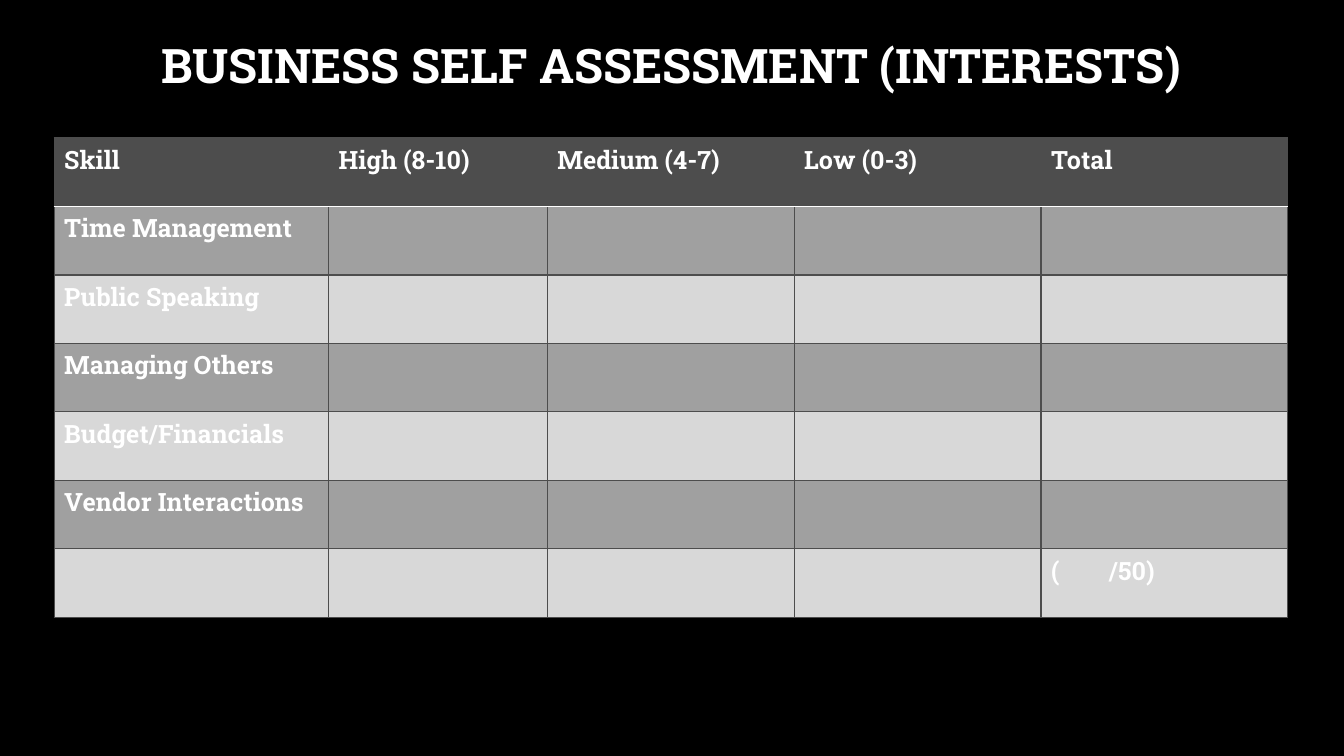
from dataclasses import dataclass

import lxml.etree
import pptx
import pptx.dml.color
import pptx.enum.text
import pptx.oxml.ns
import pptx.util

COLORS = {
    "background": "000000",
    "text": "FFFFFF",
    "header": "4D4D4D",
    "dark_band": "A0A0A0",
    "light_band": "D8D8D8",
    "grid": "4D4D4D",
    "header_rule": "FFFFFF",
}
FONT = "Roboto Slab"
TABLE_LEFT, TABLE_TOP = 38.7, 98.6
COLUMN_WIDTHS = [196, 156.3, 176.3, 176.3, 176.3]
ROW_HEIGHT = 48.9
SCORE_TAB = 41.4


@dataclass
class Row:
    texts: list[str]
    fill: str


@dataclass
class Border:
    color: str = "grid"
    width: float = 1


HEADER = Row(["Skill", "High (8-10)", "Medium (4-7)", "Low (0-3)", "Total"], "header")
SKILLS = ["Time Management", "Public Speaking", "Managing Others",
          "Budget/Financials", "Vendor Interactions"]
BODY = [[skill, "", "", "", ""] for skill in SKILLS] + [["", "", "", "", "(\t/50)"]]
ROWS = [HEADER] + [
    Row(texts, "light_band" if index % 2 else "dark_band")
    for index, texts in enumerate(BODY)
]


def rgb(name: str) -> pptx.dml.color.RGBColor:
    return pptx.dml.color.RGBColor.from_string(COLORS[name])


def format_runs(paragraph, size: float) -> None:
    for run in paragraph.runs:
        run.font.name = FONT
        run.font.size = pptx.util.Pt(size)
        run.font.bold = True
        run.font.color.rgb = rgb("text")


def set_borders(cell, borders: dict[str, Border]) -> None:
    """Border lines must precede the fill in the cell properties."""
    qn = pptx.oxml.ns.qn
    properties = cell._tc.get_or_add_tcPr()
    for index, side in enumerate("LRTB"):
        border = borders.get(side, Border())
        line = lxml.etree.Element(qn(f"a:ln{side}"), w=str(pptx.util.Pt(border.width)))
        fill = lxml.etree.SubElement(line, qn("a:solidFill"))
        lxml.etree.SubElement(fill, qn("a:srgbClr"), val=COLORS[border.color])
        properties.insert(index, line)


def add_tab_stop(paragraph, position: float) -> None:
    qn = pptx.oxml.ns.qn
    tabs = lxml.etree.SubElement(paragraph._p.get_or_add_pPr(), qn("a:tabLst"))
    lxml.etree.SubElement(tabs, qn("a:tab"), pos=str(pptx.util.Pt(position)), algn="l")


def add_title(slide, text: str) -> None:
    box = slide.shapes.add_textbox(*map(pptx.util.Pt, (72, 25.9, 815, 46.1)))
    text_frame = box.text_frame
    text_frame.word_wrap = True
    text_frame.vertical_anchor = pptx.enum.text.MSO_ANCHOR.MIDDLE
    text_frame.text = text
    paragraph = text_frame.paragraphs[0]
    paragraph.alignment = pptx.enum.text.PP_ALIGN.CENTER
    paragraph.line_spacing = 0.9
    format_runs(paragraph, 34)


def add_assessment_table(slide, rows: list[Row]) -> None:
    frame = slide.shapes.add_table(
        len(rows), len(COLUMN_WIDTHS),
        pptx.util.Pt(TABLE_LEFT), pptx.util.Pt(TABLE_TOP),
        pptx.util.Pt(sum(COLUMN_WIDTHS)), pptx.util.Pt(ROW_HEIGHT * len(rows)),
    )
    table = frame.table
    table.first_row = True
    table.horz_banding = False
    for column, width in zip(table.columns, COLUMN_WIDTHS):
        column.width = pptx.util.Pt(width)

    # The white rule is shared by the header and the first skill row
    rule = Border("header_rule", 1.5)
    rule_sides = {0: {"B": rule}, 1: {"T": rule}}
    for row_index, row in enumerate(rows):
        table.rows[row_index].height = pptx.util.Pt(ROW_HEIGHT)
        for column_index, text in enumerate(row.texts):
            cell = table.cell(row_index, column_index)
            cell.fill.solid()
            cell.fill.fore_color.rgb = rgb(row.fill)
            set_borders(cell, rule_sides.get(row_index, {}))
            cell.text_frame.text = text
            paragraph = cell.text_frame.paragraphs[0]
            format_runs(paragraph, 18)
            if "\t" in text:
                add_tab_stop(paragraph, SCORE_TAB)


def main() -> None:
    presentation = pptx.Presentation()
    presentation.slide_width = pptx.util.Pt(960)
    presentation.slide_height = pptx.util.Pt(540)
    slide = presentation.slides.add_slide(presentation.slide_layouts[6])

    # Background
    slide.background.fill.solid()
    slide.background.fill.fore_color.rgb = rgb("background")

    # Title and table
    add_title(slide, "BUSINESS SELF ASSESSMENT (INTERESTS)")
    add_assessment_table(slide, ROWS)

    presentation.save("out.pptx")


if __name__ == "__main__":
    main()
